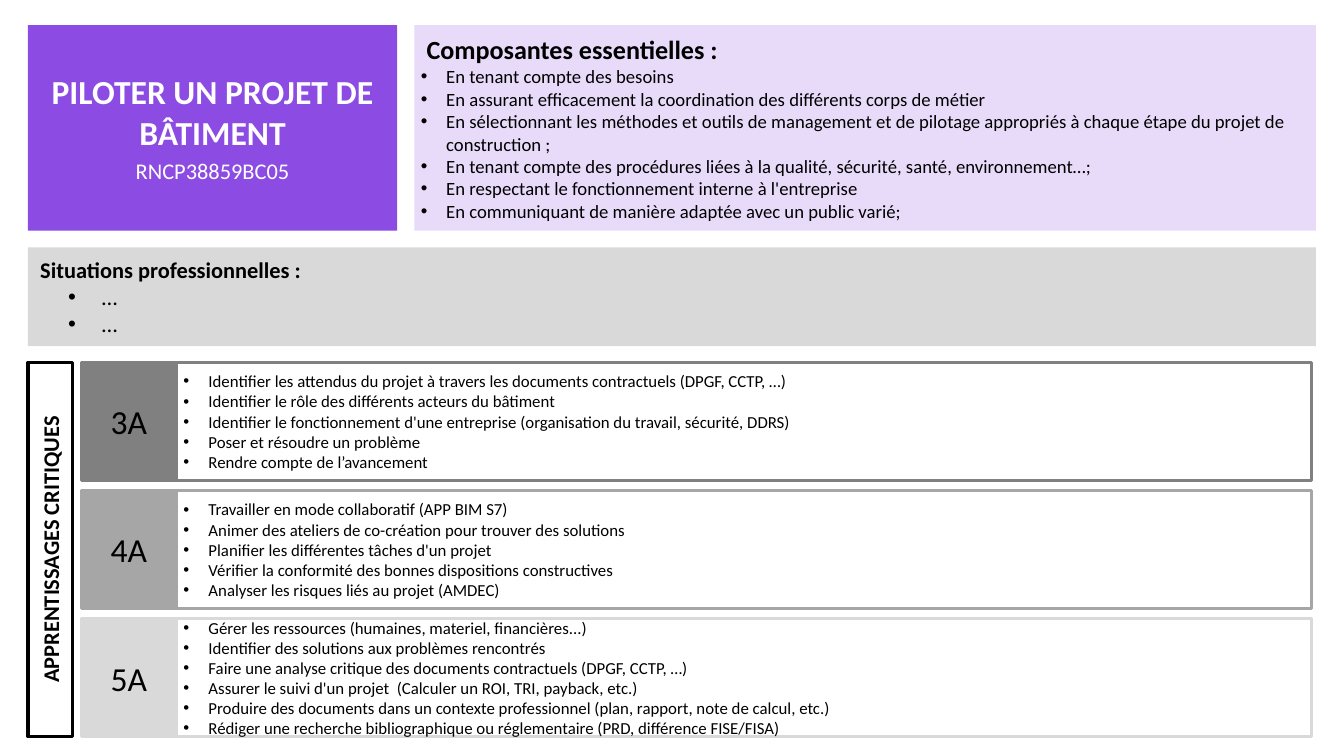
from dataclasses import dataclass

from lxml import etree
from pptx import Presentation
from pptx.dml.color import RGBColor
from pptx.enum import shapes, text
from pptx.oxml import ns
from pptx.util import Pt


@dataclass(frozen=True)
class Theme:
    font: str = "Calibri"
    accent: str = "8C4BE2"
    white: str = "FFFFFF"
    black: str = "000000"
    panel: str = "D9D9D9"
    levels: tuple = ("808080", "A6A6A6", "D9D9D9")
    title: int = 36
    heading: int = 28
    subheading: int = 24
    body: int = 20
    detail: int = 18
    row_line: float = 3
    frame_line: float = 3.75


THEME = Theme()

COMPONENTS = [
    "En tenant compte des besoins",
    "En assurant efficacement la coordination des différents corps de métier",
    "En sélectionnant les méthodes et outils de management et de pilotage appropriés à chaque étape du projet de construction ;",
    "En tenant compte des procédures liées à la qualité, sécurité, santé, environnement…;",
    "En respectant le fonctionnement interne à l'entreprise",
    "En communiquant de manière adaptée avec un public varié;",
]
SITUATIONS = ["…", "…"]
LEARNING = {
    "3A": [
        "Identifier les attendus du projet à travers les documents contractuels (DPGF, CCTP, …)",
        "Identifier le rôle des différents acteurs du bâtiment",
        "Identifier le fonctionnement d'une entreprise (organisation du travail, sécurité, DDRS)",
        "Poser et résoudre un problème",
        "Rendre compte de l’avancement",
    ],
    "4A": [
        "Travailler en mode collaboratif (APP BIM S7)",
        "Animer des ateliers de co-création pour trouver des solutions",
        "Planifier les différentes tâches d'un projet",
        "Vérifier la conformité des bonnes dispositions constructives",
        "Analyser les risques liés au projet (AMDEC)",
    ],
    "5A": [
        "Gérer les ressources (humaines, materiel, financières...)",
        "Identifier des solutions aux problèmes rencontrés",
        "Faire une analyse critique des documents contractuels (DPGF, CCTP, …)",
        "Assurer le suivi d'un projet  (Calculer un ROI, TRI, payback, etc.)",
        "Produire des documents dans un contexte professionnel (plan, rapport, note de calcul, etc.)",
        "Rédiger une recherche bibliographique ou réglementaire (PRD, différence FISE/FISA)",
    ],
}


def fill_with(shape, color, alpha=None):
    shape.fill.solid()
    shape.fill.fore_color.rgb = RGBColor.from_string(color)
    if alpha is not None:
        tint = shape.fill._xPr.find(".//" + ns.qn("a:srgbClr"))
        etree.SubElement(tint, ns.qn("a:alpha")).set("val", str(alpha * 1000))


def add_panel(slide, box, fill, line=None, line_width=0, alpha=None):
    panel = slide.shapes.add_shape(shapes.MSO_SHAPE.RECTANGLE, *map(Pt, box))
    panel.shadow.inherit = False
    fill_with(panel, fill, alpha)
    if line:
        panel.line.color.rgb = RGBColor.from_string(line)
        panel.line.width = Pt(line_width)
    else:
        panel.line.fill.background()
    panel.text_frame.word_wrap = True
    panel.text_frame.vertical_anchor = text.MSO_ANCHOR.MIDDLE
    return panel


def write(frame, wording, size, color=THEME.black, bold=False, centred=False,
          left=0, hanging=0, level=0):
    first = frame.paragraphs[0]
    paragraph = frame.add_paragraph() if first.runs else first
    paragraph.add_run().text = wording
    paragraph.level = level
    paragraph.alignment = text.PP_ALIGN.CENTER if centred else text.PP_ALIGN.LEFT
    properties = paragraph._p.get_or_add_pPr()
    properties.set("marL", str(Pt(left)))
    properties.set("indent", str(Pt(-hanging)))
    if hanging:
        etree.SubElement(properties, ns.qn("a:buFont")).set("typeface", "Arial")
        etree.SubElement(properties, ns.qn("a:buChar")).set("char", "•")
    paragraph.font.name = THEME.font
    paragraph.font.size = Pt(size)
    paragraph.font.bold = bold
    paragraph.font.color.rgb = RGBColor.from_string(color)
    return paragraph


def write_bullets(frame, items, size, left=27, hanging=27, level=0):
    for item in items:
        write(frame, item, size, left=left, hanging=hanging, level=level)


def place_title(slide, box):
    title = slide.shapes.title
    title.left, title.top, title.width, title.height = map(Pt, box)
    fill_with(title, THEME.accent)
    frame = title.text_frame
    frame.word_wrap = True
    frame.auto_size = text.MSO_AUTO_SIZE.NONE
    frame.vertical_anchor = text.MSO_ANCHOR.MIDDLE
    name = write(frame, "PILOTER UN PROJET DE BÂTIMENT", THEME.title,
                 THEME.white, bold=True, centred=True)
    code = write(frame, "RNCP38859BC05", THEME.subheading, THEME.white, centred=True)
    name.space_after = code.space_after = Pt(6)


def place_components(slide, box):
    frame = add_panel(slide, box, THEME.accent, alpha=20).text_frame
    write(frame, "Composantes essentielles :", THEME.heading, bold=True, left=6)
    write_bullets(frame, COMPONENTS, THEME.body)


def place_situations(slide, box):
    frame = add_panel(slide, box, THEME.panel).text_frame
    write(frame, "Situations professionnelles :", THEME.subheading, bold=True, left=6)
    write_bullets(frame, SITUATIONS, THEME.subheading, left=72, hanging=36, level=1)


def place_level(slide, box, level, items, color):
    left, top, width, height = box
    label_width = 102.3
    details = add_panel(slide, (left + label_width, top, width - label_width, height),
                        THEME.white, color, THEME.row_line)
    write_bullets(details.text_frame, items, THEME.detail)
    label = add_panel(slide, (left, top, label_width, height),
                      color, color, THEME.row_line)
    write(label.text_frame, level, THEME.title, centred=True)


def place_learning(slide, box):
    left, top, width, height = box
    band, band_gap, row_gap = 47.5, 9.5, 11.2
    rows_left = left + band + band_gap
    row_height = (height - row_gap * (len(LEARNING) - 1)) / len(LEARNING)
    for index, (level, items) in enumerate(LEARNING.items()):
        row = (rows_left, top + index * (row_height + row_gap),
               left + width - rows_left, row_height)
        place_level(slide, row, level, items, THEME.levels[index])

    turned = (left + (band - height) / 2, top + (height - band) / 2, height, band)
    heading = add_panel(slide, turned, THEME.white, THEME.black, THEME.frame_line)
    heading.rotation = 270
    write(heading.text_frame, "APPRENTISSAGES CRITIQUES", THEME.subheading,
          bold=True, centred=True)


def main():
    presentation = Presentation()
    presentation.slide_width, presentation.slide_height = Pt(1440), Pt(810)
    slide = presentation.slides.add_slide(presentation.slide_layouts[5])
    place_title(slide, (30, 27, 395.5, 220))
    place_components(slide, (444, 27, 966, 220))
    place_situations(slide, (30, 265, 1380, 106))
    place_learning(slide, (30, 388.4, 1375.2, 400.8))
    presentation.save("out.pptx")


if __name__ == "__main__":
    main()
